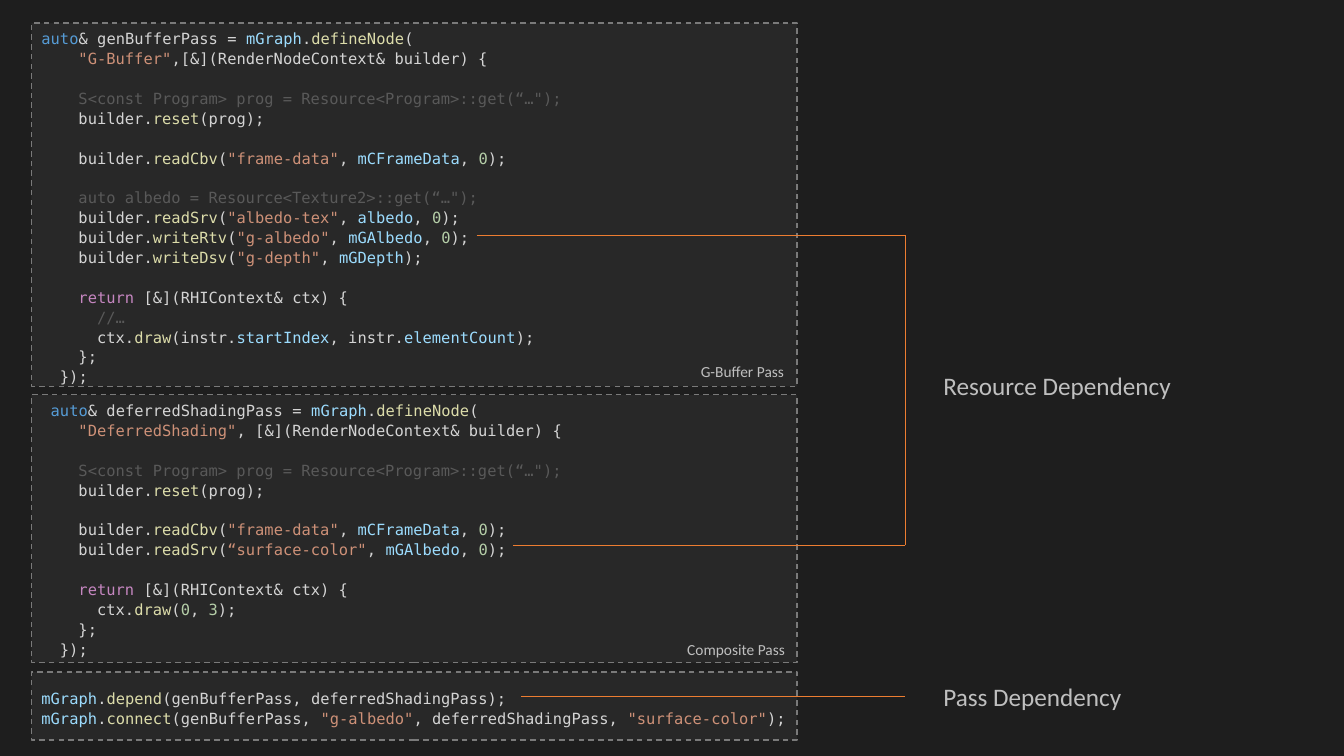
from lxml.etree import SubElement
from pptx import Presentation
from pptx.dml.color import RGBColor
from pptx.enum.dml import MSO_LINE
from pptx.enum.shapes import MSO_CONNECTOR, MSO_SHAPE
from pptx.oxml.ns import qn
from pptx.util import Pt

PX = 9525
CODE_CHAR = Pt(6.62)
CODE_LEADING = Pt(14.2)
COLORS = {
    "background": "1E1E1E", "panel": "A5A5A5", "border": "7A7A7A",
    "label": "BFBFBF", "link": "ED7D31",
    "k": "569CD6", "p": "D4D4D4", "v": "9CDCFE", "f": "DCDCAA",
    "s": "CE9178", "n": "B5CEA8", "m": "595959", "r": "C586C0",
}

GBUFFER_CODE = """
k:auto|p:& genBufferPass = |v:mGraph|p:.|f:defineNode|p:(
    s:"G-Buffer"|p:,[&](RenderNodeContext& builder) {

    m:S<const Program> prog = Resource<Program>::get(“…");
    p:builder.|f:reset|p:(prog);

    p:builder.|f:readCbv|p:(|s:"frame-data"|p:, |v:mCFrameData|p:, |n:0|p:);

    m:auto albedo = Resource<Texture2>::get(“…");
    p:builder.|f:readSrv|p:(|s:"albedo-tex"|p:, |v:albedo|p:, |n:0|p:);
    p:builder.|f:writeRtv|p:(|s:"g-albedo"|p:, |v:mGAlbedo|p:, |n:0|p:);
    p:builder.|f:writeDsv|p:(|s:"g-depth"|p:, |v:mGDepth|p:);

    r:return|p: [&](RHIContext& ctx) {
      m://…
      p:ctx.|f:draw|p:(instr.|v:startIndex|p:, instr.|v:elementCount|p:);
    p:};
  p:});
"""
COMPOSITE_CODE = """
 k:auto|p:& deferredShadingPass = |v:mGraph|p:.|f:defineNode|p:(
    s:"DeferredShading"|p:, [&](RenderNodeContext& builder) {

    m:S<const Program> prog = Resource<Program>::get(“…");
    p:builder.|f:reset|p:(prog);

    p:builder.|f:readCbv|p:(|s:"frame-data"|p:, |v:mCFrameData|p:, |n:0|p:);
    p:builder.|f:readSrv|p:(|s:“surface-color"|p:, |v:mGAlbedo|p:, |n:0|p:);

    r:return|p: [&](RHIContext& ctx) {
      p:ctx.|f:draw|p:(|n:0|p:, |n:3|p:);
    p:};
  p:});
"""
GRAPH_CODE = """
v:mGraph|p:.|f:depend|p:(genBufferPass, deferredShadingPass);
v:mGraph|p:.|f:connect|p:(genBufferPass, |s:"g-albedo"|p:, deferredShadingPass, |s:"surface-color"|p:);
"""

deck = Presentation()
deck.slide_width, deck.slide_height = 1280 * PX, 720 * PX
slide = deck.slides.add_slide(deck.slide_layouts[6])
slide.background.fill.solid()
slide.background.fill.fore_color.rgb = RGBColor.from_string(COLORS["background"])


def add_text(text, left, top, width, height, size=11, font="Calibri", leading=None, wrap=False):
    frame = slide.shapes.add_textbox(left * PX, top * PX, width * PX, height * PX).text_frame
    frame.word_wrap = wrap
    paragraph, gap = frame.paragraphs[0], 0
    for line in text.strip("\n").split("\n"):
        if not line:
            gap += leading
            continue
        if paragraph.runs:
            paragraph = frame.add_paragraph()
        code = line.lstrip()
        if leading:
            paragraph.line_spacing = leading
            paragraph.space_before = gap
            indent = (len(line) - len(code)) * CODE_CHAR
            paragraph._p.get_or_add_pPr().set("marL", str(indent))
        gap = 0
        for token in code.split("|"):
            color, _, words = token.partition(":")
            run = paragraph.add_run()
            run.text = words
            run.font.size = Pt(size)
            run.font.name = font
            run.font.color.rgb = RGBColor.from_string(COLORS[color])


for panel_top, panel_height, code_top, code in [
    (22, 346, 22, GBUFFER_CODE),
    (376, 255, 376, COMPOSITE_CODE),
    (640, 65, 650, GRAPH_CODE),
]:
    panel = slide.shapes.add_shape(
        MSO_SHAPE.RECTANGLE, 30 * PX, panel_top * PX, 729 * PX, panel_height * PX)
    panel.shadow.inherit = False
    panel.fill.solid()
    panel.fill.fore_color.rgb = RGBColor.from_string(COLORS["panel"])
    tint = panel._element.spPr.find(qn("a:solidFill"))[0]
    SubElement(tint, qn("a:alpha")).set("val", "8000")
    panel.line.color.rgb = RGBColor.from_string(COLORS["border"])
    panel.line.width = Pt(1)
    panel.line.dash_style = MSO_LINE.DASH
    add_text(code, 30, code_top, 740, panel_height, font="DejaVu Sans Mono",
             leading=CODE_LEADING, wrap=True)

for caption, left, top, width, height, size in [
    ("G-Buffer Pass", 658, 340, 101, 28, 11),
    ("Composite Pass", 645, 605, 113, 28, 11),
    ("Resource Dependency", 889, 348, 239, 38, 18),
    ("Pass Dependency", 889, 644, 191, 38, 18),
]:
    add_text(f"label:{caption}", left, top, width, height, size=size)

for start_x, start_y, end_x, end_y in [
    (454, 224, 862, 224),
    (862, 224, 862, 519),
    (862, 519, 489, 519),
    (496, 663, 862, 663),
]:
    link = slide.shapes.add_connector(
        MSO_CONNECTOR.STRAIGHT, start_x * PX, start_y * PX, end_x * PX, end_y * PX)
    link.line.color.rgb = RGBColor.from_string(COLORS["link"])
    link.line.width = Pt(0.5)
    SubElement(link._element.spPr, qn("a:effectLst"))

deck.save("out.pptx")
